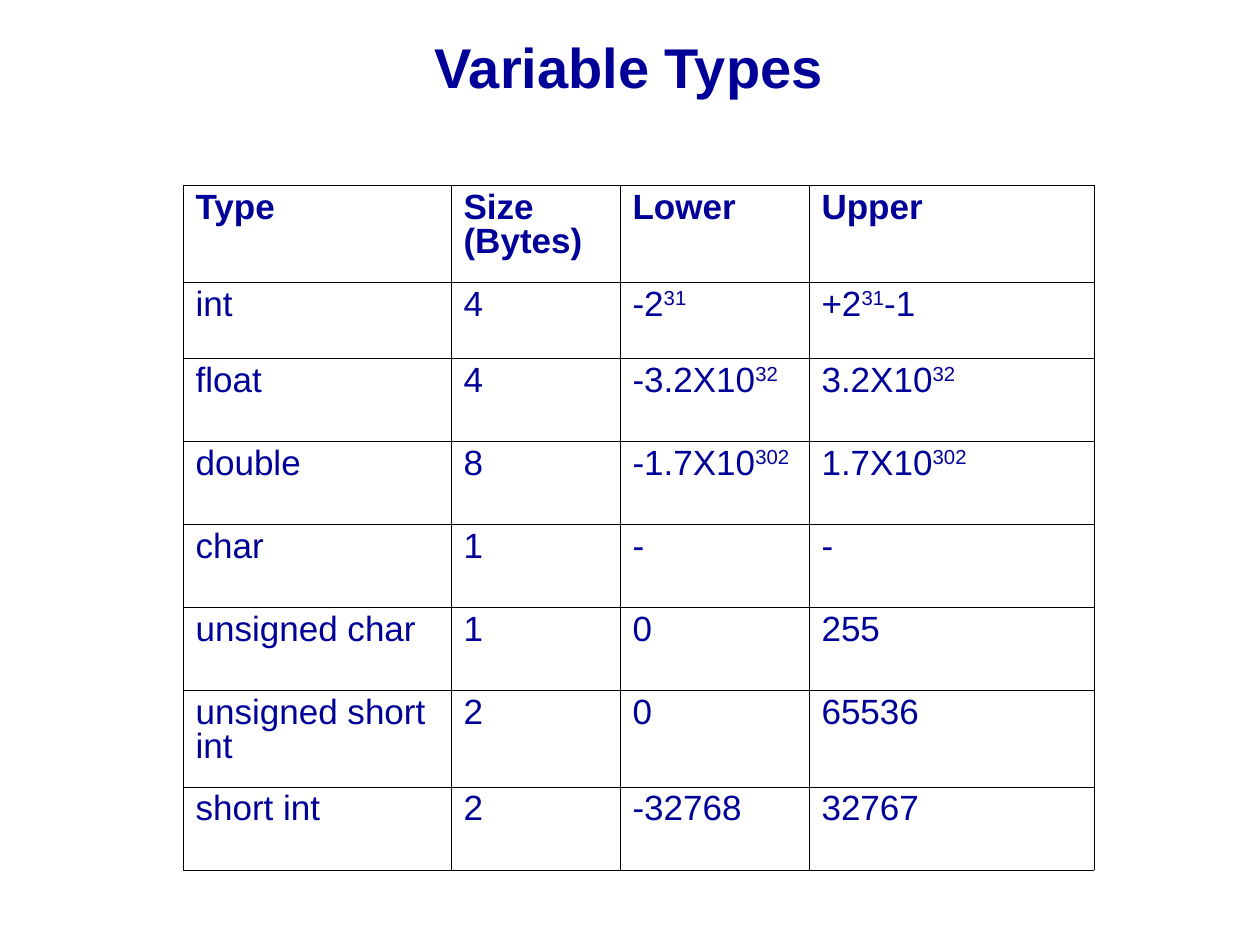
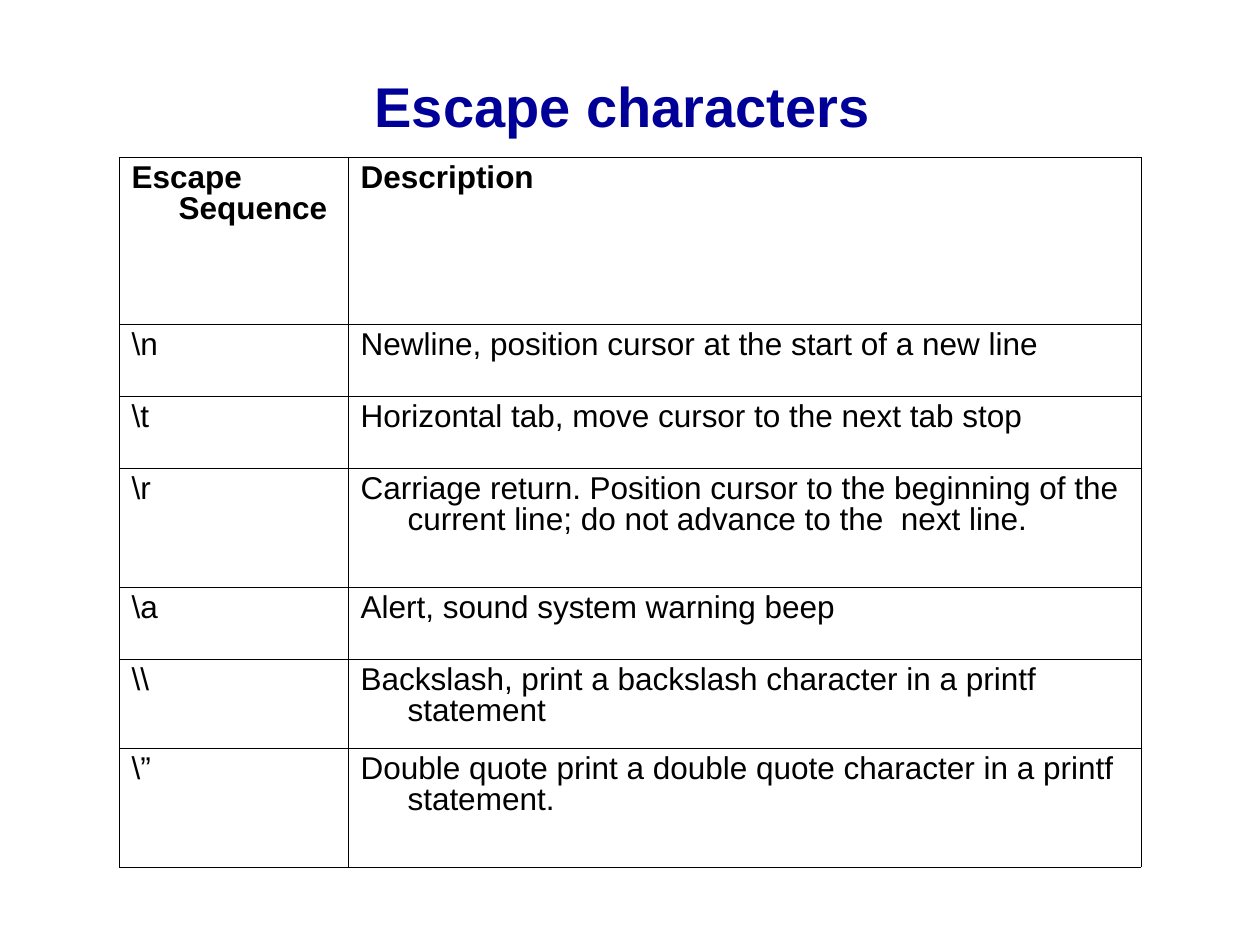
import pptx
import pptx.dml.color
import pptx.enum.text
import pptx.oxml
import pptx.oxml.ns
import pptx.util

EMU_PER_PX = 914400 / 126
FONT = "Arial"
NAVY = "000099"
BLACK = "000000"
THIN, THICK = 0.11, 0.23
LINE_SPACING = 0.89
TITLE_ONLY_LAYOUT = 5

# Text between carets is raised, as in 2^31^.
VARIABLE_TYPES = [
    ["Type", "Size (Bytes)", "Lower", "Upper"],
    ["int", "4", "-2^31^", "+2^31^-1"],
    ["float", "4", "-3.2X10^32^", "3.2X10^32^"],
    ["double", "8", "-1.7X10^302^", "1.7X10^302^"],
    ["char", "1", "-", "-"],
    ["unsigned char", "1", "0", "255"],
    ["unsigned short int", "2", "0", "65536"],
    ["short int", "2", "-32768", "32767"],
]
ESCAPES = [
    ["Escape Sequence", "Description"],
    [r"\n", "Newline, position cursor at the start of a new line"],
    [r"\t", "Horizontal tab, move cursor to the next tab stop"],
    [r"\r", "Carriage return. Position cursor to the beginning of the "
            "current line; do not advance to the  next line."],
    [r"\a", "Alert, sound system warning beep"],
    [r"\\", "Backslash, print a backslash character in a printf statement"],
    [r"\”", "Double quote print a double quote character in a printf statement."],
]


def px(length):
    return pptx.util.Emu(round(length * EMU_PER_PX))


def color(hex_string):
    return pptx.dml.color.RGBColor.from_string(hex_string)


def style_font(font, size, hex_string, bold):
    font.name = FONT
    font.size = pptx.util.Pt(size)
    font.color.rgb = color(hex_string)
    font.bold = bold


def add_titled_slide(presentation, title, box):
    slide = presentation.slides.add_slide(presentation.slide_layouts[TITLE_ONLY_LAYOUT])
    shape = slide.shapes.title
    shape.left, shape.top, shape.width, shape.height = map(px, box)
    frame = shape.text_frame
    frame.text = title
    frame.vertical_anchor = pptx.enum.text.MSO_ANCHOR.MIDDLE
    paragraph = frame.paragraphs[0]
    paragraph.alignment = pptx.enum.text.PP_ALIGN.LEFT
    style_font(paragraph.runs[0].font, 32, NAVY, True)
    return slide


def add_border(cell, side, width):
    line = pptx.oxml.parse_xml(
        f'<a:ln{side} {pptx.oxml.ns.nsdecls("a")} w="{pptx.util.Pt(width)}">'
        f'<a:solidFill><a:srgbClr val="{BLACK}"/></a:solidFill></a:ln{side}>')
    cell._tc.get_or_add_tcPr().append(line)


def fill_cell(cell, text, size, hex_string, bold, space_before, hanging):
    paragraph = cell.text_frame.paragraphs[0]
    paragraph.line_spacing = LINE_SPACING
    paragraph.space_before = pptx.util.Pt(space_before)
    if hanging:
        properties = paragraph._p.get_or_add_pPr()
        properties.set("marL", str(px(hanging)))
        properties.set("indent", str(px(-hanging)))
    for index, part in enumerate(text.split("^")):
        if part:
            run = paragraph.add_run()
            run.text = part
            style_font(run.font, size, hex_string, bold)
            if index % 2:
                run._r.get_or_add_rPr().set("baseline", "30000")


def add_grid(slide, left, top, widths, heights, rows, size, hex_string,
             outer_width=THIN, space_before=0, hanging=0):
    """Add a ruled table whose first row is bold."""
    table = slide.shapes.add_table(len(heights), len(widths), px(left), px(top),
                                   px(sum(widths)), px(sum(heights))).table
    table.first_row = table.horz_banding = False
    for column, width in zip(table.columns, widths):
        column.width = px(width)
    for row, height in zip(table.rows, heights):
        row.height = px(height)
    for i, texts in enumerate(rows):
        for j, text in enumerate(texts):
            cell = table.cell(i, j)
            fill_cell(cell, text, size, hex_string, i == 0, space_before, hanging)
            edges = {"L": j == 0, "R": j == len(widths) - 1,
                     "T": i == 0, "B": i == len(heights) - 1}
            for side, is_outer in edges.items():
                add_border(cell, side, outer_width if is_outer else THIN)
            cell.fill.background()


def add_variable_types(presentation):
    slide = add_titled_slide(presentation, "Variable Types", (422, 17, 456, 99))
    add_grid(slide, 183, 185, [268, 169, 189, 285],
             [97, 76, 83, 83, 83, 83, 97, 83], VARIABLE_TYPES, 20, NAVY,
             outer_width=THICK, space_before=5)


def add_escape_characters(presentation):
    slide = add_titled_slide(presentation, "Escape characters", (362, 56, 1071, 99))
    add_grid(slide, 119, 157, [229, 793], [167, 72, 72, 119, 72, 89, 119],
             ESCAPES, 18, BLACK, hanging=47)


def main():
    presentation = pptx.Presentation()
    presentation.slide_width, presentation.slide_height = px(1260), px(945)
    add_variable_types(presentation)
    add_escape_characters(presentation)
    presentation.save("out.pptx")


if __name__ == "__main__":
    main()
